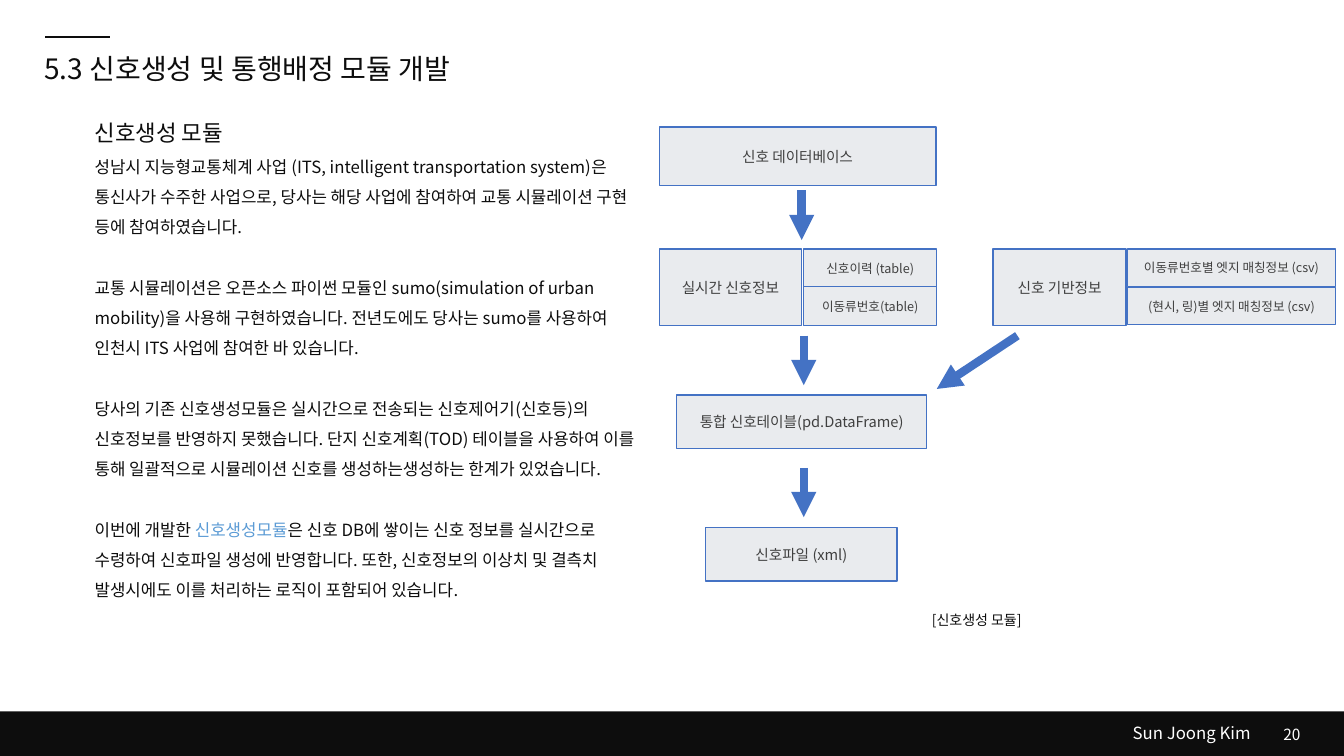
from lxml.etree import SubElement
from pptx import Presentation
from pptx.dml.color import RGBColor
from pptx.enum.shapes import MSO_CONNECTOR, MSO_SHAPE
from pptx.enum.text import MSO_ANCHOR, MSO_AUTO_SIZE, PP_ALIGN
from pptx.oxml.ns import qn
from pptx.util import Inches, Pt

FONT = "Noto Sans CJK KR"
INK = RGBColor(0x0D, 0x0D, 0x0D)
WHITE = RGBColor(0xFF, 0xFF, 0xFF)
GRAY = RGBColor(0x40, 0x40, 0x40)
PALE = RGBColor(0xE9, 0xEB, 0xEE)
BLUE = RGBColor(0x44, 0x72, 0xC4)
SKY = RGBColor(0x5B, 0x9B, 0xD5)

prs = Presentation()
prs.slide_width, prs.slide_height = Inches(13.33), Inches(7.5)
s = prs.slides.add_slide(prs.slide_layouts[5])


def share(x, y, *size):
    units = (prs.slide_width, prs.slide_height) * 2
    return [int(v * u / 100) for v, u in zip((x, y) + size, units)]


def write(sp, paragraphs, size=12, color=INK, align=PP_ALIGN.LEFT,
          anchor=MSO_ANCHOR.TOP, spacing=1.0, gap=0, inset=0.1):
    tf = sp.text_frame
    tf.word_wrap = True
    tf.auto_size = MSO_AUTO_SIZE.NONE
    tf.vertical_anchor = anchor
    tf.margin_left = tf.margin_right = Inches(inset)
    tf.margin_top = tf.margin_bottom = Inches(0.05)
    for i, runs in enumerate(paragraphs):
        p = tf.add_paragraph() if i else tf.paragraphs[0]
        p.alignment, p.line_spacing = align, spacing
        p.space_before = Pt(gap if i else 0)
        for text, run_color in runs:
            r = p.add_run()
            r.text = text
            r.font.size, r.font.name = Pt(size), FONT
            r.font.color.rgb = run_color or color
            SubElement(r.font._element, qn("a:ea")).set("typeface", FONT)


footer = s.shapes.add_shape(MSO_SHAPE.RECTANGLE, *share(0, 94.1, 100, 5.9))
footer.shadow.inherit = False
footer.fill.solid()
footer.fill.fore_color.rgb = INK
footer.line.fill.background()

title = s.shapes.title
title.left, title.top, title.width, title.height = share(2.55, 4.9, 39.1, 6.9)
write(title, [[("5.3 신호생성 및 통행배정 모듈 개발", None)]], size=20,
      anchor=MSO_ANCHOR.MIDDLE, spacing=1.3)

labels = [
    ("20", (92.4, 95.3, 5.1, 3.9), 11, WHITE, PP_ALIGN.RIGHT),
    ("Sun Joong Kim", (71.7, 94.9, 22.1, 4), 12, WHITE, PP_ALIGN.RIGHT),
    ("[신호생성 모듈]", (56.25, 80.3, 32.85, 3.6), 10, INK, PP_ALIGN.CENTER),
    ("신호생성 모듈", (6.3, 15.05, 17.1, 4.9), 16, INK, PP_ALIGN.LEFT),
]
for text, area, size, color, align in labels:
    write(s.shapes.add_textbox(*share(*area)), [[(text, None)]],
          size=size, color=color, align=align)

body = [
    [("성남시 지능형교통체계 사업 (ITS, intelligent transportation system)은 "
      "통신사가 수주한 사업으로, 당사는 해당 사업에 참여하여 교통 시뮬레이션 구현 "
      "등에 참여하였습니다.", None)],
    [("교통 시뮬레이션은 오픈소스 파이썬 모듈인 sumo(simulation of urban "
      "mobility)을 사용해 구현하였습니다. 전년도에도 당사는 sumo를 사용하여 "
      "인천시 ITS 사업에 참여한 바 있습니다.", None)],
    [("당사의 기존 신호생성모듈은 실시간으로 전송되는 신호제어기(신호등)의 "
      "신호정보를 반영하지 못했습니다. 단지 신호계획(TOD) 테이블을 사용하여 "
      "이를 통해 일괄적으로 시뮬레이션 신호를 생성하는생성하는 한계가 "
      "있었습니다.", None)],
    [("이번에 개발한 ", None), ("신호생성모듈", SKY),
     ("은 신호 DB에 쌓이는 신호 정보를 실시간으로 수령하여 신호파일 생성에 "
      "반영합니다. 또한, 신호정보의 이상치 및 결측치 발생시에도 이를 처리하는 "
      "로직이 포함되어 있습니다.", None)],
]
write(s.shapes.add_textbox(*share(6.3, 18.7, 41.8, 65.5)), body,
      spacing=1.5, gap=21.6)

boxes = [
    ("신호 데이터베이스", (49.05, 16.8, 20.6, 7.75), 10.5),
    ("통합 신호테이블(pd.DataFrame)", (50.35, 52.25, 18.6, 7.1), 10.5),
    ("신호파일 (xml)", (52.5, 69.75, 14.25, 7.1), 10.5),
    ("실시간 신호정보", (49.05, 32.95, 10.6, 10.1), 10.5),
    ("신호이력 (table)", (59.8, 32.95, 9.9, 5.15), 9),
    ("이동류번호(table)", (59.8, 37.9, 9.9, 5.15), 9),
    ("신호 기반정보", (73.9, 32.95, 9.9, 10.1), 10.5),
    ("이동류번호별 엣지 매칭정보 (csv)", (83.9, 32.95, 15.45, 4.95), 9),
    ("(현시, 링)별 엣지 매칭정보 (csv)", (83.9, 38, 15.45, 4.95), 9),
]
for text, area, size in boxes:
    sp = s.shapes.add_shape(MSO_SHAPE.RECTANGLE, *share(*area))
    sp.shadow.inherit = False
    sp.fill.solid()
    sp.fill.fore_color.rgb = PALE
    sp.line.color.rgb = BLUE
    sp.line.width = Pt(1)
    write(sp, [[(text, None)]], size=size, color=GRAY,
          align=PP_ALIGN.CENTER, anchor=MSO_ANCHOR.MIDDLE, inset=0)

lines = [
    ((3.35, 4.9), (8.2, 4.9), INK, 1.75, False),
    ((59.65, 25.2), (59.65, 31.75), BLUE, 6, True),
    ((59.8, 44.4), (59.8, 50.95), BLUE, 6, True),
    ((75.7, 44.4), (69.7, 51.45), BLUE, 6, True),
    ((59.8, 61.9), (59.8, 68.4), BLUE, 6, True),
]
for start, end, color, width, arrow in lines:
    cx = s.shapes.add_connector(MSO_CONNECTOR.STRAIGHT, *share(*start), *share(*end))
    cx.line.color.rgb = color
    cx.line.width = Pt(width)
    if arrow:
        SubElement(cx.line._get_or_add_ln(), qn("a:tailEnd")).set("type", "triangle")
    SubElement(cx._element.spPr, qn("a:effectLst"))

prs.save("out.pptx")
